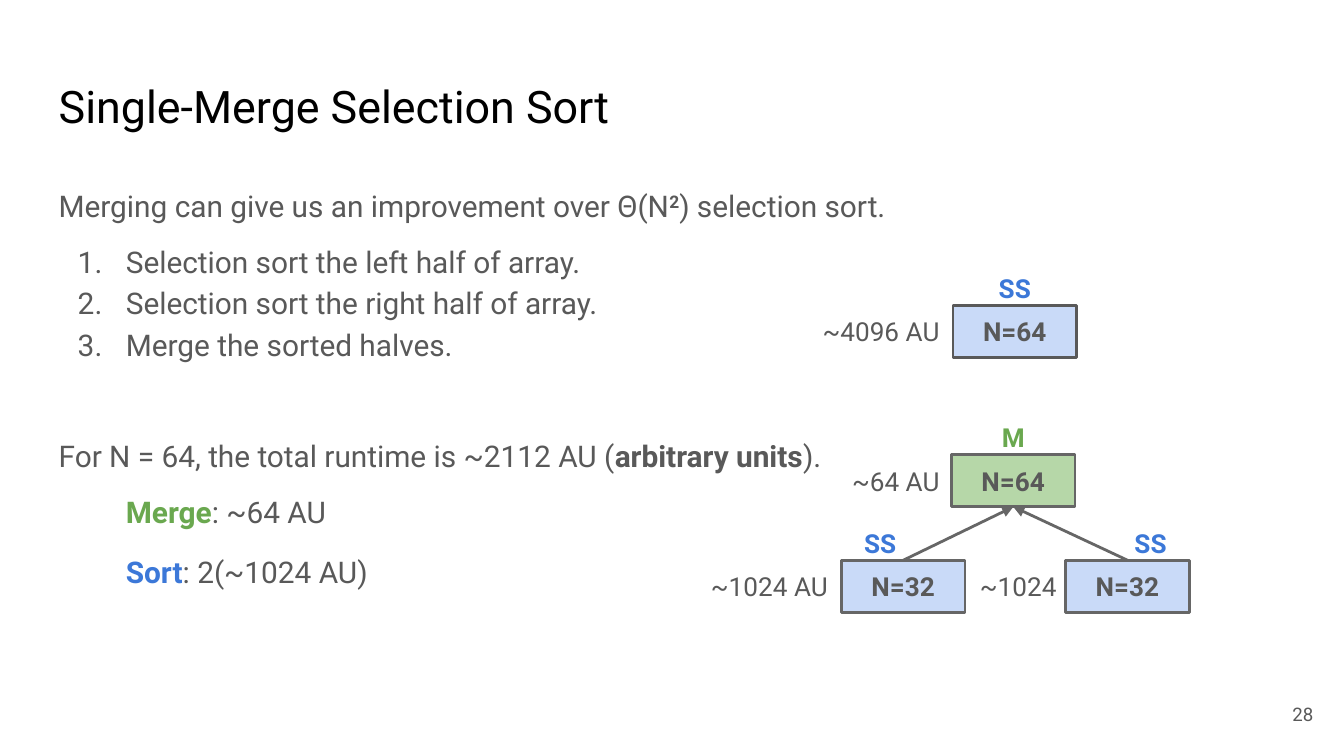
from dataclasses import dataclass

from lxml import etree
from pptx import Presentation
from pptx import util as u
from pptx.dml.color import RGBColor
from pptx.enum import shapes, text
from pptx.oxml.ns import qn

Cm, Pt = u.Cm, u.Pt


@dataclass(frozen=True)
class Theme:
    font: str = "Roboto"
    title_color: str = "000000"
    ink: str = "595959"
    edge: str = "666666"
    sort: str = "3C78D8"
    sort_fill: str = "C9DAF8"
    merge: str = "6AA84F"
    merge_fill: str = "B6D7A8"
    title_size: int = 24
    body_size: int = 16
    label_size: int = 14
    number_size: int = 10


theme = Theme()
LEFT, MIDDLE = text.PP_ALIGN.LEFT, text.MSO_ANCHOR.MIDDLE
RIGHT, CENTER, TOP = text.PP_ALIGN.RIGHT, text.PP_ALIGN.CENTER, text.MSO_ANCHOR.TOP


def write(shape, paragraphs, size=theme.label_size, color=theme.ink, bold=False,
          align=CENTER, anchor=MIDDLE):
    """Fill a shape with paragraphs, each a list of (words, run overrides), or one string."""
    frame = shape.text_frame
    frame.word_wrap = True
    frame.auto_size = text.MSO_AUTO_SIZE.NONE
    frame.vertical_anchor = anchor
    frame.margin_left = frame.margin_right = Cm(0.25)
    frame.margin_top = frame.margin_bottom = Cm(0.25)
    if isinstance(paragraphs, str):
        paragraphs = [[(paragraphs, {})]]
    for index, runs in enumerate(paragraphs):
        paragraph = frame.paragraphs[0] if index == 0 else frame.add_paragraph()
        paragraph.alignment = align
        for words, own in runs:
            run = paragraph.add_run()
            run.text = words
            run.font.name = theme.font
            run.font.size = Pt(size)
            run.font.bold = own.get("bold", bold)
            run.font.color.rgb = RGBColor.from_string(own.get("color", color))
            if "baseline" in own:
                run.font._element.set("baseline", own["baseline"])
    return frame


def place_text(left, top, width, height, paragraphs, **style):
    box = slide.shapes.add_textbox(Cm(left), Cm(top), Cm(width), Cm(height))
    return write(box, paragraphs, **style)


deck = Presentation()
deck.slide_width, deck.slide_height = Cm(25.4), Cm(14.29)
slide = deck.slides.add_slide(deck.slide_layouts[5])

title = slide.shapes.title
title.left, title.top, title.width, title.height = Cm(0.86), Cm(1.24), Cm(23.67), Cm(1.6)
write(title, "Single-Merge Selection Sort", size=theme.title_size,
      color=theme.title_color, align=LEFT, anchor=TOP)

# Explanation: runs of each paragraph, space before in points, kind
explanation = [
    ([("Merging can give us an improvement over Θ(N", {}),
      ("2", {"bold": True, "baseline": "30000"}),
      (") selection sort.", {})], 0, "plain"),
    ([("Selection sort the left half of array.", {})], 8, "step"),
    ([("Selection sort the right half of array.", {})], 0, "step"),
    ([("Merge the sorted halves.", {})], 0, "step"),
    ([("For N = 64, the total runtime is ~2112 AU (", {}),
      ("arbitrary units", {"bold": True}), (").", {})], 37.6, "plain"),
    ([("Merge", {"bold": True, "color": theme.merge}), (": ~64 AU", {})], 8, "cost"),
    ([("Sort", {"bold": True, "color": theme.sort}), (": 2(~1024 AU)", {})], 10, "cost"),
]
body = place_text(0.86, 3.2, 23.67, 9.5, [runs for runs, _, _ in explanation],
                  size=theme.body_size, align=LEFT, anchor=TOP)
for paragraph, (_, space, kind) in zip(body.paragraphs, explanation):
    paragraph.line_spacing = 1.15
    if space:
        paragraph.space_before = Pt(space)
    if kind == "plain":
        continue
    properties = paragraph._p.get_or_add_pPr()
    properties.set("marL", str(Cm(1.27)))
    properties.set("indent", str(-Cm(0.91) if kind == "step" else 0))
    if kind == "step":
        bullet_color = etree.SubElement(properties, qn("a:buClr"))
        etree.SubElement(bullet_color, qn("a:srgbClr"), val=theme.ink)
        etree.SubElement(properties, qn("a:buFont"), typeface=theme.font)
        etree.SubElement(properties, qn("a:buAutoNum"), type="arabicPeriod")

place_text(23.55, 12.95, 1.52, 1.09, "28", size=theme.number_size, align=RIGHT)

# Sorting trees: left, top, size, fill, edge, tag (words, colour, offset, width),
# cost (words, width, shift)
NODE_W, NODE_H, TAG_H, SIDE_TAG_W = 2.34, 0.99, 0.66, 1.47
nodes = [
    (18.01, 5.77, "N=64", theme.sort_fill, theme.ink,
     ("SS", theme.sort, 0, NODE_W), ("~4096 AU", 2.74, 0)),
    (17.98, 8.59, "N=64", theme.merge_fill, theme.edge,
     ("M", theme.merge, 0, NODE_W), ("~64 AU", 2.34, 0.03)),
    (15.9, 10.59, "N=32", theme.sort_fill, theme.edge,
     ("SS", theme.sort, 0, SIDE_TAG_W), ("~1024 AU", 2.74, 0)),
    (20.14, 10.59, "N=32", theme.sort_fill, theme.edge,
     ("SS", theme.sort, NODE_W - SIDE_TAG_W, SIDE_TAG_W), ("~1024", 1.98, 0.08)),
]
boxes = []
for left, top, count, fill, edge, tag, cost in nodes:
    box = slide.shapes.add_shape(shapes.MSO_SHAPE.RECTANGLE,
                                 Cm(left), Cm(top), Cm(NODE_W), Cm(NODE_H))
    box.shadow.inherit = False
    box.fill.solid()
    box.fill.fore_color.rgb = RGBColor.from_string(fill)
    box.line.color.rgb = RGBColor.from_string(edge)
    box.line.width = Pt(1.5)
    write(box, count, bold=True)
    boxes.append(box)

    method, tag_color, offset, tag_width = tag
    place_text(left + offset, top - TAG_H, tag_width, TAG_H, method,
               color=tag_color, bold=True)
    amount, cost_width, shift = cost
    place_text(left + shift - cost_width, top, cost_width, NODE_H, amount, align=RIGHT)

_, merged, *halves = boxes
for half in halves:
    arrow = slide.shapes.add_connector(shapes.MSO_CONNECTOR.STRAIGHT, 0, 0, 0, 0)
    arrow.begin_connect(half, 0)
    arrow.end_connect(merged, 2)
    arrow.line.color.rgb = RGBColor.from_string(theme.edge)
    arrow.line.width = Pt(1.5)
    etree.SubElement(arrow.line._get_or_add_ln(), qn("a:tailEnd"), type="triangle")
    etree.SubElement(arrow._element.spPr, qn("a:effectLst"))

deck.save("out.pptx")
